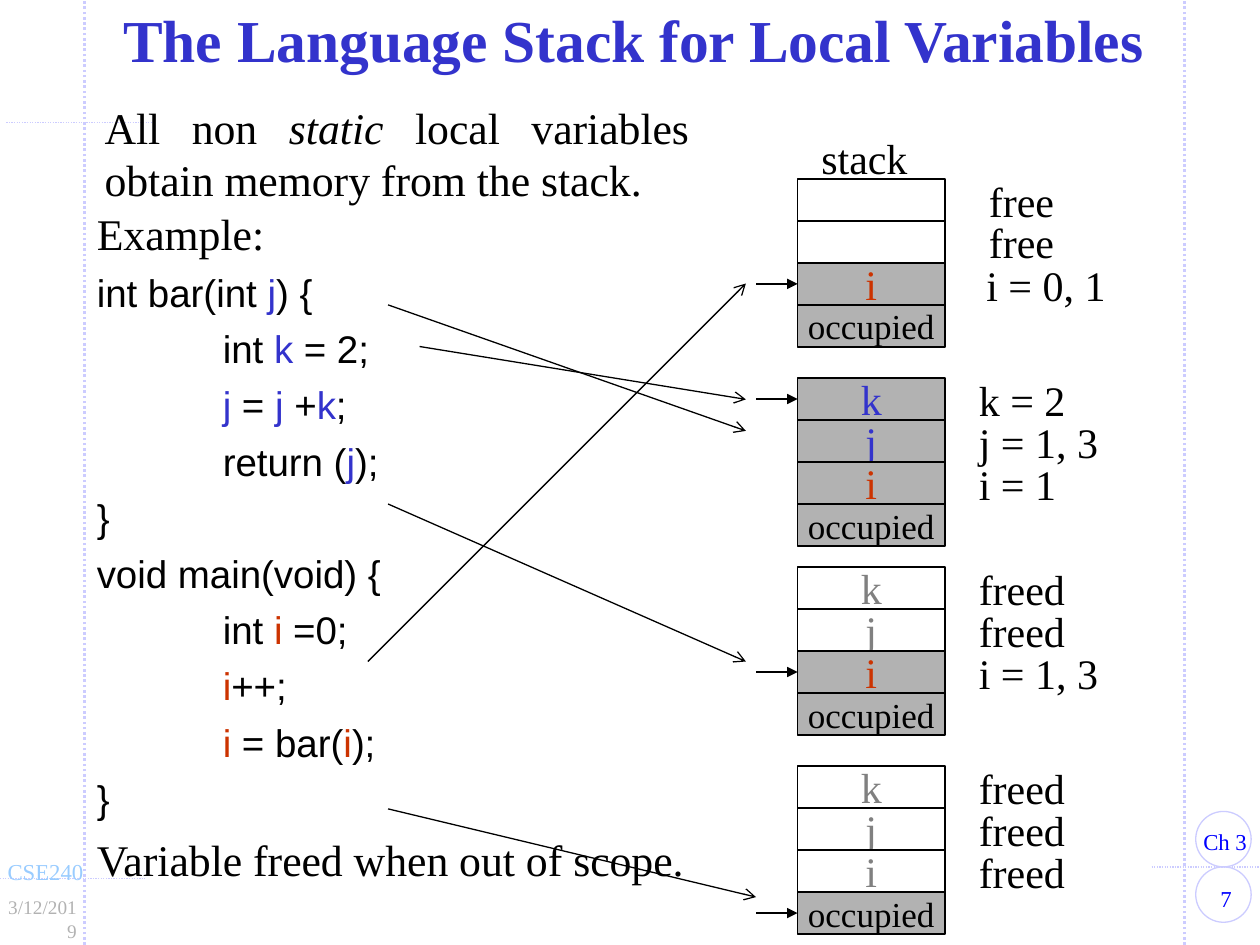
import pptx
import pptx.util
import pptx.dml.color
import pptx.enum.dml
import pptx.enum.shapes
import pptx.enum.text
import pptx.oxml.ns
from lxml import etree

Inches = pptx.util.Inches
Pt = pptx.util.Pt
RGBColor = pptx.dml.color.RGBColor
Align = pptx.enum.text.PP_ALIGN
Shape = pptx.enum.shapes.MSO_SHAPE
qn = pptx.oxml.ns.qn

BLACK = RGBColor(0x00, 0x00, 0x00)
WHITE = RGBColor(0xFF, 0xFF, 0xFF)
BLUE = RGBColor(0x33, 0x33, 0xCC)
RED = RGBColor(0xCC, 0x33, 0x00)
GREY = RGBColor(0x80, 0x80, 0x80)
SILVER = RGBColor(0xB2, 0xB2, 0xB2)
LAVENDER = RGBColor(0xCC, 0xCC, 0xFF)
SKY = RGBColor(0x99, 0xCC, 0xFF)
PURE_BLUE = RGBColor(0x00, 0x00, 0xFF)
SERIF, SANS = "Times New Roman", "Arial"

TITLE = "The Language Stack for Local Variables"
INTRO = [("All non ", False), ("static", True),
         (" local variables obtain memory from the stack.", False)]
CODE = ["int bar(int |j|) {", "\tint |k| = 2;", "\t|j| = |j| +|k|;", "\treturn (|j|);", "}",
        "void main(void) {", "\tint |i| =0;", "\t|i|++;", "\t|i| = bar(|i|);", "}"]
LISTING = ([("Example:", 25, SERIF)] + [(line, 22, SANS) for line in CODE]
           + [("Variable freed when out of scope.", 25, SERIF)])
VARIABLE_COLORS = {"i": RED, "j": BLUE, "k": BLUE}

STACKS = [
    {"top": 3, "names": "kji", "freed": 0,
     "labels": [("k = 2", 7.67), ("j = 1, 3", 7.67), ("i = 1", 7.67)]},
    {"top": 1.42, "names": ["", "", "i"], "freed": 2,
     "labels": [("free", 7.75), ("free", 7.75), ("i = 0, 1", 7.73)]},
    {"top": 4.5, "names": "kji", "freed": 2,
     "labels": [("freed", 7.67), ("freed", 7.67), ("i = 1, 3", 7.67)]},
    {"top": 6.08, "names": "kji", "freed": 3,
     "labels": [("freed", 7.67)] * 3},
]
CELL_LEFT, CELL_WIDTH, CELL_HEIGHT = 6.33, 1.17, 1 / 3
POINTER_LEFT = 6
LABEL_RISE, LABEL_WIDTH = 0.08, 1.2

CODE_ARROWS = [(2.92, 5.25, 5.92, 2.25), (3.08, 2.42, 5.92, 3.42), (3.33, 2.75, 5.92, 3.17),
               (3.08, 4, 5.92, 5.25), (3.08, 6.42, 6, 7.12)]
GUIDES = [(0.67, 7.5, 0.67, 0, 1.5), (0, 6.97, 1.15, 6.97, 0.75), (9.4, 7.5, 9.4, 0, 1.5),
          (9.14, 6.88, 10.05, 6.88, 0.75), (0.05, 0.97, 1.2, 0.97, 0.75)]
BADGE_TOPS = [6.88, 6.44]
FOOTERS = [
    ("7", 9.44, 6.97, 0.58, 0.32, 13, PURE_BLUE, Align.CENTER),
    ("Ch 3", 9.44, 6.52, 0.7, 0.32, 13, PURE_BLUE, Align.LEFT),
    ("CSE240", -0.05, 6.76, 0.95, 0.32, 13, SKY, Align.LEFT),
    ("3/12/2019", -0.11, 7.06, 0.83, 0.29, 11, SILVER, Align.RIGHT),
]


def set_font(font, size, color=BLACK, name=SERIF):
    font.size = Pt(size)
    font.name = name
    font.color.rgb = color


def add_box(shapes, left, top, width, height, side=0.1):
    box = shapes.add_textbox(Inches(left), Inches(top), Inches(width), Inches(height))
    frame = box.text_frame
    frame.word_wrap = True
    frame.margin_left = frame.margin_right = Inches(side)
    frame.auto_size = pptx.enum.text.MSO_AUTO_SIZE.SHAPE_TO_FIT_TEXT
    return frame


def add_label(shapes, text, left, top, width, height=0.5, size=24, color=BLACK,
              align=Align.LEFT, side=0.1):
    para = add_box(shapes, left, top, width, height, side).paragraphs[0]
    para.text = text
    para.alignment = align
    set_font(para.font, size, color)


def add_line(shapes, x1, y1, x2, y2, color=BLACK, width=0.75, head=None):
    line = shapes.add_connector(pptx.enum.shapes.MSO_CONNECTOR.STRAIGHT,
                                Inches(x1), Inches(y1), Inches(x2), Inches(y2))
    line.line.color.rgb = color
    line.line.width = Pt(width)
    if head:
        etree.SubElement(line.line._get_or_add_ln(), qn("a:tailEnd"), type=head)
    etree.SubElement(line._element.spPr, qn("a:effectLst"))
    return line


def add_cell(shapes, text, top, fill, color, size):
    cell = shapes.add_shape(Shape.RECTANGLE, Inches(CELL_LEFT), Inches(top),
                            Inches(CELL_WIDTH), Inches(CELL_HEIGHT))
    cell.shadow.inherit = False
    cell.fill.solid()
    cell.fill.fore_color.rgb = fill
    cell.line.color.rgb = BLACK
    cell.line.width = Pt(0.75)
    if text:
        frame = cell.text_frame
        frame.word_wrap = False
        frame.vertical_anchor = pptx.enum.text.MSO_ANCHOR.MIDDLE
        para = frame.paragraphs[0]
        para.text = text
        para.alignment = Align.CENTER
        set_font(para.font, size, color)


def add_stack(page, stack):
    shapes = page.shapes.add_group_shape().shapes
    top, freed = stack["top"], stack["freed"]
    for row, name in enumerate(stack["names"]):
        is_free = row < freed
        color = GREY if is_free else VARIABLE_COLORS[name]
        add_cell(shapes, name, top + row * CELL_HEIGHT, WHITE if is_free else SILVER, color, 24)
    add_cell(shapes, "occupied", top + 3 * CELL_HEIGHT, SILVER, BLACK, 20)
    pointer = top + (freed + 0.5) * CELL_HEIGHT
    add_line(shapes, POINTER_LEFT, pointer, CELL_LEFT, pointer, head="triangle")
    for row, (text, left) in enumerate(stack["labels"]):
        add_label(shapes, text, left, top + row * CELL_HEIGHT - LABEL_RISE, LABEL_WIDTH)


def add_frame(page):
    for x1, y1, x2, y2, width in GUIDES:
        guide = add_line(page.shapes, x1, y1, x2, y2, LAVENDER, width)
        guide.line.dash_style = pptx.enum.dml.MSO_LINE.ROUND_DOT
    for top in BADGE_TOPS:
        badge = page.shapes.add_shape(Shape.OVAL, Inches(9.49), Inches(top),
                                      Inches(0.44), Inches(0.44))
        badge.shadow.inherit = False
        badge.fill.background()
        badge.line.color.rgb = LAVENDER
        badge.line.width = Pt(0.75)
    for footer in FOOTERS:
        add_label(page.shapes, *footer, side=0.11)


def add_texts(page):
    frame = add_box(page.shapes, 0.62, 0, 8.82, 0.7, side=0.11)
    frame.auto_size = pptx.enum.text.MSO_AUTO_SIZE.NONE
    frame.vertical_anchor = pptx.enum.text.MSO_ANCHOR.MIDDLE
    para = frame.paragraphs[0]
    para.text = TITLE
    para.alignment = Align.CENTER
    para.line_spacing = 0.85
    set_font(para.font, 34, BLUE)
    para.font.bold = True

    para = add_box(page.shapes, 0.65, 0.75, 4.93, 0.94, side=0.11).paragraphs[0]
    para.alignment = Align.JUSTIFY
    para._p.get_or_add_pPr().set("marL", str(Inches(0.07)))
    set_font(para.font, 25)
    for text, italic in INTRO:
        span = para.add_run()
        span.text = text
        span.font.italic = italic

    frame = add_box(page.shapes, 0.67, 1.67, 5.33, 5.75)
    for number, (line, size, name) in enumerate(LISTING):
        para = frame.add_paragraph() if number else frame.paragraphs[0]
        para.line_spacing = 0.8
        if number:
            para.space_before = Pt(size / 2)
        if line.startswith("\t"):
            tabs = etree.SubElement(para._p.get_or_add_pPr(), qn("a:tabLst"))
            etree.SubElement(tabs, qn("a:tab"), pos=str(Inches(1)), algn="l")
        set_font(para.font, size, name=name)
        for text in filter(None, line.split("|")):
            span = para.add_run()
            span.text = text
            if text in VARIABLE_COLORS:
                span.font.color.rgb = VARIABLE_COLORS[text]


def main():
    deck = pptx.Presentation()
    deck.slide_width, deck.slide_height = Inches(10), Inches(7.5)
    page = deck.slides.add_slide(deck.slide_layouts[6])
    add_frame(page)
    add_texts(page)
    for stack in STACKS:
        add_stack(page, stack)
    add_label(page.shapes, "stack", 6.42, 1, LABEL_WIDTH)
    for arrow in CODE_ARROWS:
        add_line(page.shapes, *arrow, head="arrow")
    deck.save("out.pptx")


if __name__ == "__main__":
    main()
